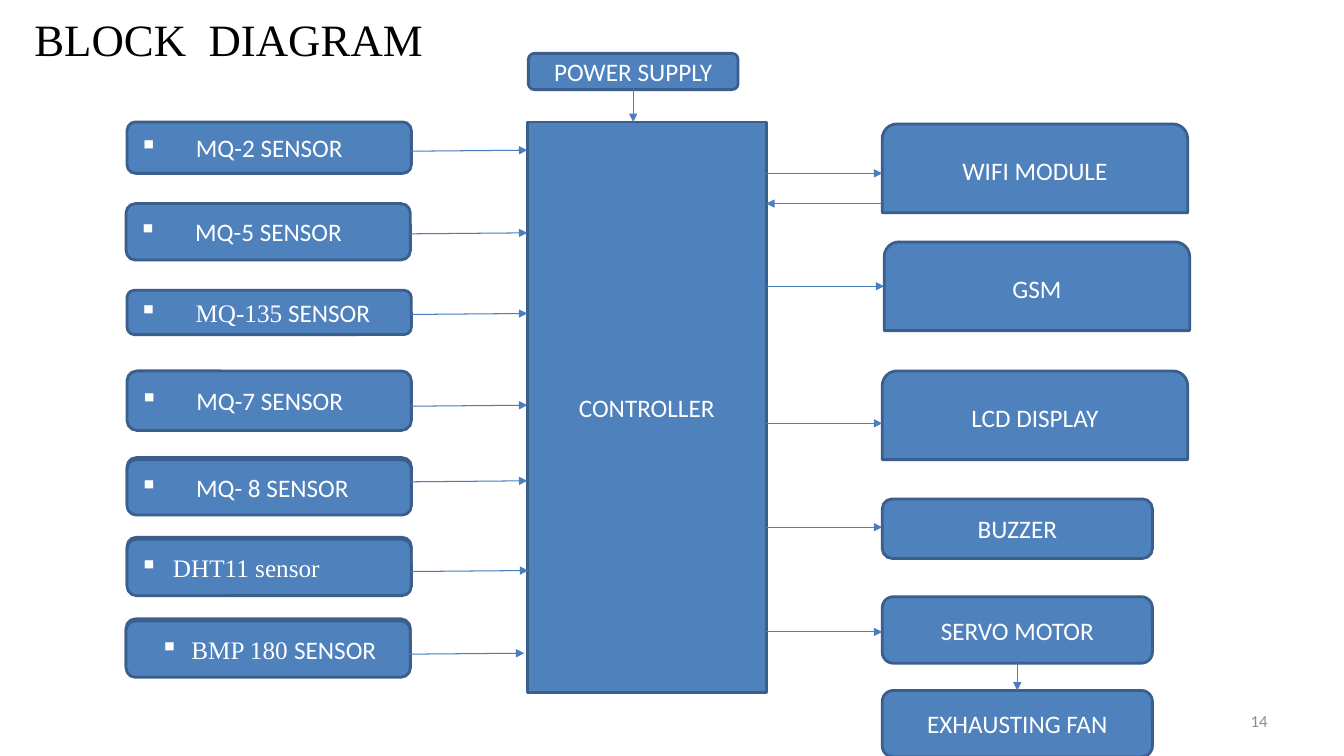
import pptx
import pptx.util
import pptx.dml.color
import pptx.enum.shapes
import pptx.enum.text
import pptx.oxml
import pptx.oxml.ns

Inches = pptx.util.Inches
Pt = pptx.util.Pt
RGB = pptx.dml.color.RGBColor.from_string
SHAPE = pptx.enum.shapes.MSO_SHAPE
ALIGN = pptx.enum.text.PP_ALIGN
ANCHOR = pptx.enum.text.MSO_ANCHOR

COLORS = {
    "block": "4F81BD",
    "border": "3A5F8C",
    "arrow": "4B7EBC",
    "label": "FFFFFF",
    "title": "000000",
    "number": "8C8C8C",
}
SANS = "Calibri"
SERIF = "Times New Roman"

deck = pptx.Presentation()
deck.slide_width = Inches(13.33)
deck.slide_height = Inches(7.5)
page = deck.slides.add_slide(deck.slide_layouts[5])


def add_block(kind, left, top, width, height, spans=()):
    block = page.shapes.add_shape(kind, Inches(left), Inches(top), Inches(width), Inches(height))
    block.shadow.inherit = False
    block.fill.solid()
    block.fill.fore_color.rgb = RGB(COLORS["block"])
    block.line.color.rgb = RGB(COLORS["border"])
    block.line.width = Pt(2)
    block.text_frame.vertical_anchor = ANCHOR.MIDDLE
    para = block.text_frame.paragraphs[0]
    para.alignment = ALIGN.CENTER
    for text, font in spans:
        span = para.add_run()
        span.text = text
        span.font.name = font
        span.font.size = Pt(18)
        span.font.color.rgb = RGB(COLORS["label"])
    return para


def add_arrow(x1, y1, x2, y2):
    arrow = page.shapes.add_connector(
        pptx.enum.shapes.MSO_CONNECTOR.STRAIGHT, Inches(x1), Inches(y1), Inches(x2), Inches(y2)
    )
    arrow.line.color.rgb = RGB(COLORS["arrow"])
    arrow.line.width = Pt(0.75)
    pptx.oxml.ns.qn("a:ln")
    line = arrow.line._get_or_add_ln()
    line.append(pptx.oxml.parse_xml(f'<a:tailEnd {pptx.oxml.ns.nsdecls("a")} type="triangle"/>'))
    line.addnext(pptx.oxml.parse_xml(f'<a:effectLst {pptx.oxml.ns.nsdecls("a")}/>'))


title = page.shapes.title
title.left, title.top, title.width, title.height = Inches(0.24), Inches(0.07), Inches(12.35), Inches(0.7)
title.text_frame.text = "BLOCK  DIAGRAM"
title.text_frame.vertical_anchor = ANCHOR.TOP
title.text_frame.auto_size = pptx.enum.text.MSO_AUTO_SIZE.NONE
para = title.text_frame.paragraphs[0]
para.alignment = ALIGN.LEFT
para.runs[0].font.name = SERIF
para.runs[0].font.size = Pt(32)
para.runs[0].font.color.rgb = RGB(COLORS["title"])

number = page.shapes.add_textbox(Inches(9.56), Inches(6.95), Inches(3.11), Inches(0.4))
number.text_frame.word_wrap = True
number.text_frame.vertical_anchor = ANCHOR.MIDDLE
number.text_frame.text = "14"
para = number.text_frame.paragraphs[0]
para.alignment = ALIGN.RIGHT
para.runs[0].font.name = SANS
para.runs[0].font.size = Pt(12)
para.runs[0].font.color.rgb = RGB(COLORS["number"])

add_block(SHAPE.RECTANGLE, 5.23, 1.21, 2.37, 5.66, [("CONTROLLER", SANS)])
add_block(SHAPE.ROUNDED_RECTANGLE, 5.24, 0.53, 2.08, 0.36, [("POWER SUPPLY", SANS)])
add_arrow(6.28, 0.88, 6.28, 1.21)

sensors = [
    (1.26, 1.21, 0.51, [("MQ-2 SENSOR", SANS)], 0.56, ALIGN.LEFT, False),
    (1.25, 2.02, 0.56, [("MQ-5 SENSOR", SANS)], 0.56, ALIGN.LEFT, False),
    (1.26, 2.88, 0.44, [("MQ-135", SERIF), (" SENSOR", SANS)], 0.56, ALIGN.LEFT, False),
    (1.26, 3.68, 0.59, [("MQ-7 SENSOR", SANS)], 0.56, ALIGN.LEFT, False),
    (1.26, 4.56, 0.55, [("MQ- 8 SENSOR", SANS)], 0.56, ALIGN.LEFT, True),
    (1.26, 5.35, 0.56, [("DHT11 sensor", SERIF)], 0.33, ALIGN.LEFT, True),
    (1.25, 6.16, 0.56, [("BMP 180 ", SERIF), ("SENSOR", SANS)], 0.31, ALIGN.CENTER, True),
]
for left, top, height, spans, indent, alignment, doubled in sensors:
    if doubled:
        add_block(SHAPE.ROUNDED_RECTANGLE, left, top - 0.02, 2.82, height)
    para = add_block(SHAPE.ROUNDED_RECTANGLE, left, top, 2.82, height, spans)
    para.alignment = alignment
    properties = para._p.get_or_add_pPr()
    properties.set("marL", str(Inches(indent)))
    properties.set("indent", str(-Inches(indent)))
    properties.append(pptx.oxml.parse_xml(f'<a:buChar {pptx.oxml.ns.nsdecls("a")} char="▪"/>'))

sensor_arrows = [(4.07, 1.5), (4.07, 2.32), (4.07, 3.12), (4.07, 4.03), (4.07, 4.78), (4.08, 5.67), (4.04, 6.49)]
for start, y in sensor_arrows:
    add_arrow(start, y, start + 1.16, y - 0.01)

outputs = [
    (SHAPE.ROUND_2_SAME_RECTANGLE, 8.75, 1.23, 3.03, 0.88, "WIFI MODULE", 1.72),
    (SHAPE.ROUND_2_SAME_RECTANGLE, 8.77, 2.4, 3.03, 0.88, "GSM", 2.84),
    (SHAPE.ROUND_2_SAME_RECTANGLE, 8.75, 3.68, 3.03, 0.88, "LCD DISPLAY", 4.2),
    (SHAPE.ROUNDED_RECTANGLE, 8.75, 4.95, 2.68, 0.59, "BUZZER", 5.23),
    (SHAPE.ROUNDED_RECTANGLE, 8.75, 5.92, 2.68, 0.66, "SERVO MOTOR", 6.27),
]
for kind, left, top, width, height, label, y in outputs:
    add_block(kind, left, top, width, height, [(label, SANS)])
    add_arrow(7.6, y, left, y)
add_arrow(8.75, 2.02, 7.6, 2.02)

add_block(SHAPE.ROUNDED_RECTANGLE, 8.75, 6.85, 2.68, 0.66, [("EXHAUSTING FAN", SANS)])
add_arrow(10.09, 6.58, 10.09, 6.85)

deck.save("out.pptx")
